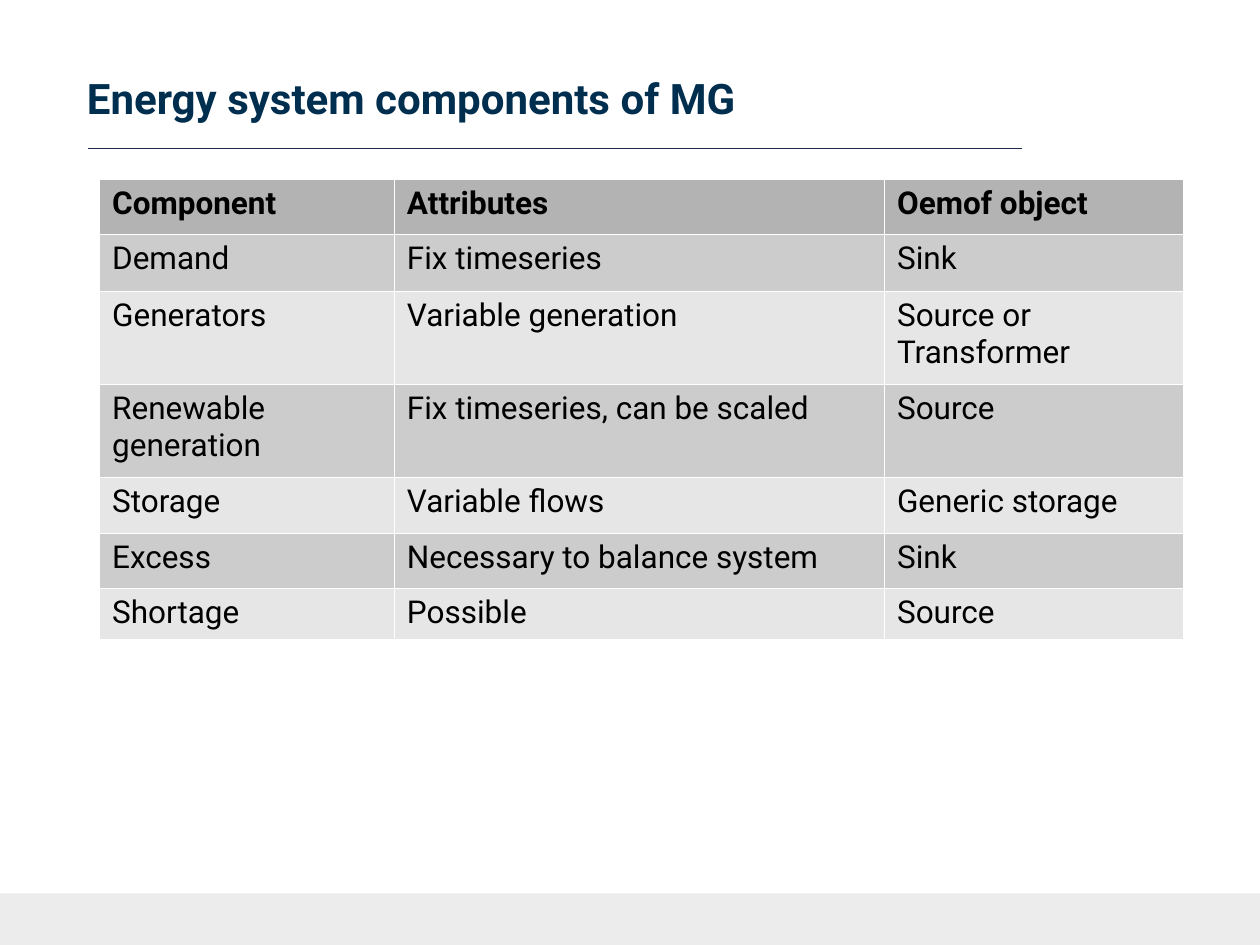
from lxml import etree
from pptx import Presentation
from pptx.dml.color import RGBColor
from pptx.enum.shapes import MSO_CONNECTOR, MSO_SHAPE
from pptx.enum.text import MSO_ANCHOR
from pptx.oxml.ns import qn
from pptx.util import Inches, Pt

STRAIGHT = MSO_CONNECTOR.STRAIGHT
RECTANGLE = MSO_SHAPE.RECTANGLE
MIDDLE = MSO_ANCHOR.MIDDLE

FONT = "Roboto"
HEADER_FILL = "B3B3B3"
BAND_FILLS = ("CCCCCC", "E6E6E6")
COLUMN_WIDTHS = (2.34, 3.89, 2.37)
ROW_HEIGHTS = (0.44, 0.45, 0.74, 0.74, 0.44, 0.44, 0.4)
COMPONENTS = (
    ("Component", "Attributes", "Oemof object"),
    ("Demand", "Fix timeseries", "Sink"),
    ("Generators", "Variable generation", "Source or Transformer"),
    ("Renewable generation", "Fix timeseries, can be scaled", "Source"),
    ("Storage", "Variable flows", "Generic storage"),
    ("Excess", "Necessary to balance system", "Sink"),
    ("Shortage", "Possible", "Source"),
)


def rgb(color):
    """Return the colour of a hex string."""
    return RGBColor.from_string(color)


def set_font(p, size, color, bold):
    """Set the font of a whole paragraph."""
    p.font.name = FONT
    p.font.size = Pt(size)
    p.font.bold = bold
    p.font.color.rgb = rgb(color)


def set_borders(cell, color, width):
    """Give all four sides of a table cell a solid line."""
    tc_pr = cell._tc.get_or_add_tcPr()
    for side in ("a:lnL", "a:lnR", "a:lnT", "a:lnB"):
        ln = etree.SubElement(tc_pr, qn(side), w=str(Pt(width)))
        fill = etree.SubElement(ln, qn("a:solidFill"))
        etree.SubElement(fill, qn("a:srgbClr"), val=color)


def add_footer(slide, left, top, width, height):
    """Add the plain band at the foot of the slide."""
    sp = slide.shapes.add_shape(
        RECTANGLE, Inches(left), Inches(top), Inches(width), Inches(height))
    sp.shadow.inherit = False
    sp.fill.solid()
    sp.fill.fore_color.rgb = rgb("ECECEC")
    sp.line.fill.background()


def add_title(slide, text, left, top, width, height):
    """Add the title with the thin rule below it."""
    rule_left, rule_top = Inches(left + 0.01), Inches(top + height + 0.01)
    rule = slide.shapes.add_connector(
        STRAIGHT, rule_left, rule_top, rule_left + Inches(7.41), rule_top)
    rule.line.color.rgb = rgb("1C2D51")
    rule.line.width = Pt(0.5)
    etree.SubElement(rule._element.spPr, qn("a:effectLst"))

    sp = slide.shapes.add_textbox(
        Inches(left), Inches(top), Inches(width), Inches(height))
    tf = sp.text_frame
    tf.word_wrap = True
    tf.vertical_anchor = MIDDLE
    tf.margin_left = 0
    tf.margin_right = Inches(0.13)
    tf.margin_top = tf.margin_bottom = Inches(0.07)
    p = tf.paragraphs[0]
    p.text = text
    set_font(p, 24, "002E4F", True)


def add_component_table(slide, left, top, width, height):
    """Add the banded table of energy system components."""
    table = slide.shapes.add_table(
        len(COMPONENTS), len(COLUMN_WIDTHS),
        Inches(left), Inches(top), Inches(width), Inches(height)).table
    for column, column_width in zip(table.columns, COLUMN_WIDTHS):
        column.width = Inches(column_width)
    for i, (row, texts) in enumerate(zip(table.rows, COMPONENTS)):
        row.height = Inches(ROW_HEIGHTS[i])
        fill = BAND_FILLS[(i - 1) % 2] if i else HEADER_FILL
        for cell, text in zip(row.cells, texts):
            set_borders(cell, "FFFFFF", 0.06)
            cell.fill.solid()
            cell.fill.fore_color.rgb = rgb(fill)
            p = cell.text_frame.paragraphs[0]
            p.text = text
            set_font(p, 18, "000000", i == 0)


def main():
    """Build the slide and save it."""
    prs = Presentation()
    prs.slide_width, prs.slide_height = Inches(10), Inches(7.5)
    s = prs.slides.add_slide(prs.slide_layouts[6])
    add_footer(s, 0, 7.09, 10, 0.41)
    add_title(s, "Energy system components of MG", 0.69, 0.38, 8.62, 0.79)
    add_component_table(s, 0.79, 1.42, sum(COLUMN_WIDTHS), sum(ROW_HEIGHTS))
    prs.save("out.pptx")


if __name__ == "__main__":
    main()
